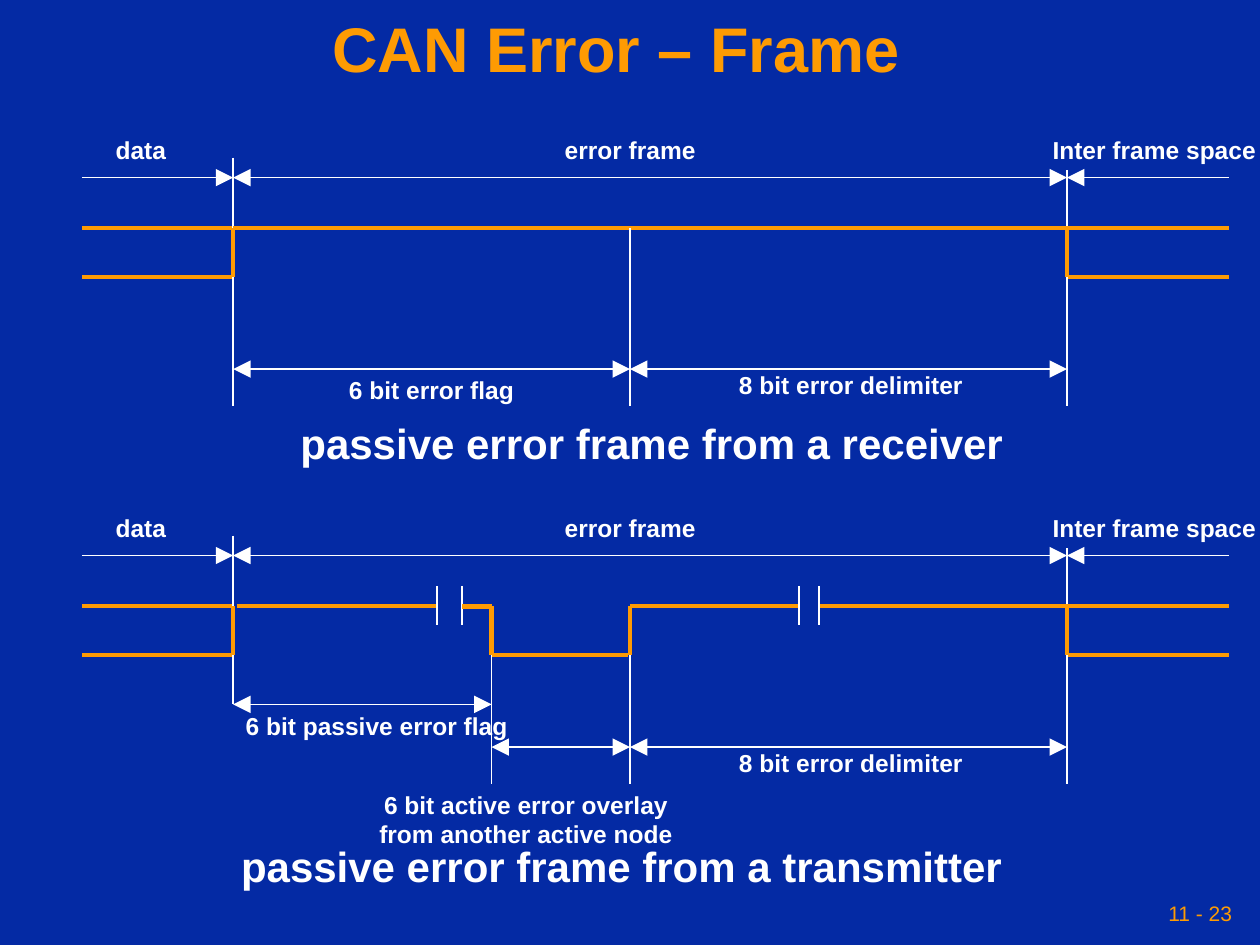
import pptx
import pptx.dml.color
import pptx.enum.shapes
import pptx.enum.text
import pptx.oxml.ns
import pptx.util
from dataclasses import dataclass
from lxml import etree
from pptx.util import Cm

COLORS = {"back": "042AA4", "signal": "FE9B03", "text": "FFFFFF"}
ALIGN = pptx.enum.text.PP_ALIGN
ANCHOR = pptx.enum.text.MSO_ANCHOR

# Horizontal stations in cm
LEFT, START, OVERLAY, MIDDLE, END, RIGHT = 1.65, 4.7, 9.91, 12.7, 21.51, 24.77
FLAG_BREAK = (8.81, 9.32)
DELIMITER_BREAK = (16.1, 16.51)
# Heights in cm, measured from the top of a diagram
TICK, SPAN, HIGH, LOW, FLAG, FIELD, BOTTOM = 3.18, 3.58, 4.6, 5.59, 6.58, 7.44, 8.18
BREAK_TOP, BREAK_BOTTOM = 4.19, 4.98
DIAGRAM_PITCH = 7.62


@dataclass(frozen=True)
class Line:
    x1: float
    y1: float
    x2: float
    y2: float
    color: str = "text"
    width: float = 1
    ends: tuple[str, ...] = ()


@dataclass(frozen=True)
class Label:
    text: str
    left: float
    top: float
    width: float
    height: float = 0.86
    size: int = 14


def signal(x1: float, y1: float, x2: float, y2: float, width: float = 2.25) -> Line:
    return Line(x1, y1, x2, y2, "signal", width)


def span(x1: float, x2: float, y: float) -> Line:
    """A dimension line with an arrowhead at each end."""
    return Line(x1, y, x2, y, ends=("headEnd", "tailEnd"))


def upright(x: float, y1: float, y2: float) -> Line:
    return Line(x, y1, x, y2)


COMMON_LINES = [
    signal(LEFT, HIGH, START, HIGH),
    signal(START, HIGH, START, LOW),
    signal(START, LOW, LEFT, LOW),
    signal(END, HIGH, END, LOW),
    signal(END, LOW, RIGHT, LOW),
    upright(START, TICK, HIGH),
    upright(END, 3.43, HIGH),
    upright(END, LOW, BOTTOM),
    Line(LEFT, SPAN, START, SPAN, ends=("tailEnd",)),
    span(START, END, SPAN),
    Line(RIGHT, SPAN, END, SPAN, ends=("tailEnd",)),
    span(MIDDLE, END, FIELD),
]
COMMON_LABELS = [
    Label("data", 2.08, 2.59, 1.52),
    Label("error frame", 11.13, 2.59, 3.15),
    Label("Inter frame space", 21.14, 2.59, 4.26),
    Label("8 bit error delimiter", 14.27, 7.34, 5.77),
]
RECEIVER_LINES = [
    signal(START, HIGH, RIGHT, HIGH),
    upright(MIDDLE, HIGH, BOTTOM),
    upright(START, LOW, BOTTOM),
    span(START, MIDDLE, FIELD),
]
RECEIVER_LABELS = [
    Label("6 bit error flag", 6.78, FIELD, 3.84),
    Label("passive error frame from a receiver", 5.57, 8.29, 15.14, 1.27, 24),
]
TRANSMITTER_LINES = [
    signal(4.78, HIGH, FLAG_BREAK[0], HIGH),
    signal(MIDDLE, LOW, MIDDLE, HIGH),
    signal(MIDDLE, HIGH, DELIMITER_BREAK[0], HIGH),
    signal(DELIMITER_BREAK[1], HIGH, RIGHT, HIGH),
    *(upright(x, BREAK_TOP, BREAK_BOTTOM) for x in FLAG_BREAK + DELIMITER_BREAK),
    upright(MIDDLE, LOW, BOTTOM),
    upright(START, LOW, FLAG),
    upright(OVERLAY, HIGH, BOTTOM),
    span(START, OVERLAY, FLAG),
    span(OVERLAY, MIDDLE, FIELD),
    signal(12.65, LOW, OVERLAY, LOW),
    signal(FLAG_BREAK[1], HIGH, OVERLAY, HIGH, 3),
    signal(OVERLAY, HIGH, OVERLAY, LOW, 3),
]
TRANSMITTER_LABELS = [
    Label("6 bit passive error flag", START, FLAG, 5.79),
    Label("6 bit active error overlay\nfrom another active node", 7.39, BOTTOM, 6.43, 1.45),
    Label("passive error frame from a transmitter", 4.49, 9.19, 16.08, 1.27, 24),
]


def rgb(name: str) -> pptx.dml.color.RGBColor:
    return pptx.dml.color.RGBColor.from_string(COLORS[name])


def write(box, text: str, size: int, color: str, bold: bool, align) -> None:
    frame = box.text_frame
    frame.text = text
    for para in frame.paragraphs:
        para.alignment = align
        for run in para.runs:
            font = run.font
            font.name, font.size, font.bold = "Arial", pptx.util.Pt(size), bold
            font.color.rgb = rgb(color)


def draw_line(page, line: Line, top: float) -> None:
    connector = page.shapes.add_connector(
        pptx.enum.shapes.MSO_CONNECTOR.STRAIGHT,
        Cm(line.x1), Cm(line.y1 + top), Cm(line.x2), Cm(line.y2 + top))
    connector.line.color.rgb = rgb(line.color)
    connector.line.width = pptx.util.Pt(line.width)
    outline = connector.line._get_or_add_ln()
    for end in line.ends:
        etree.SubElement(outline, pptx.oxml.ns.qn(f"a:{end}"), type="triangle", w="lg", len="lg")
    etree.SubElement(connector._element.spPr, pptx.oxml.ns.qn("a:effectLst"))


def draw_label(page, label: Label, top: float) -> None:
    box = page.shapes.add_textbox(
        Cm(label.left), Cm(label.top + top), Cm(label.width), Cm(label.height))
    frame = box.text_frame
    frame.word_wrap = True
    frame.margin_left = frame.margin_right = Cm(0)
    write(box, label.text, label.size, "text", True, ALIGN.CENTER)


def draw_diagram(page, lines: list[Line], labels: list[Label], top: float) -> None:
    for line in COMMON_LINES + lines:
        draw_line(page, line, top)
    for label in COMMON_LABELS + labels:
        draw_label(page, label, top)


def draw_title(page) -> None:
    title = page.shapes.title
    title.left, title.top, title.width, title.height = Cm(0), Cm(0), Cm(24.84), Cm(2.11)
    title.text_frame.vertical_anchor = ANCHOR.MIDDLE
    title.text_frame.auto_size = pptx.enum.text.MSO_AUTO_SIZE.NONE
    write(title, "CAN Error – Frame", 36, "signal", True, ALIGN.CENTER)
    title.text_frame.paragraphs[0].line_spacing = 0.9


def draw_page_number(page) -> None:
    box = page.shapes.add_textbox(Cm(17.35), Cm(17.98), Cm(7.62), Cm(0.84))
    frame = box.text_frame
    frame.word_wrap = True
    frame.vertical_anchor = ANCHOR.MIDDLE
    frame.margin_left = frame.margin_right = Cm(0.13)
    write(box, "11 - 23", 12, "signal", False, ALIGN.RIGHT)


def main() -> None:
    deck = pptx.Presentation()
    deck.slide_width, deck.slide_height = Cm(25.4), Cm(19.05)
    page = deck.slides.add_slide(deck.slide_layouts.get_by_name("Title Only"))
    page.background.fill.solid()
    page.background.fill.fore_color.rgb = rgb("back")
    draw_title(page)
    draw_diagram(page, RECEIVER_LINES, RECEIVER_LABELS, 0)
    draw_diagram(page, TRANSMITTER_LINES, TRANSMITTER_LABELS, DIAGRAM_PITCH)
    draw_page_number(page)
    deck.save("out.pptx")


if __name__ == "__main__":
    main()
